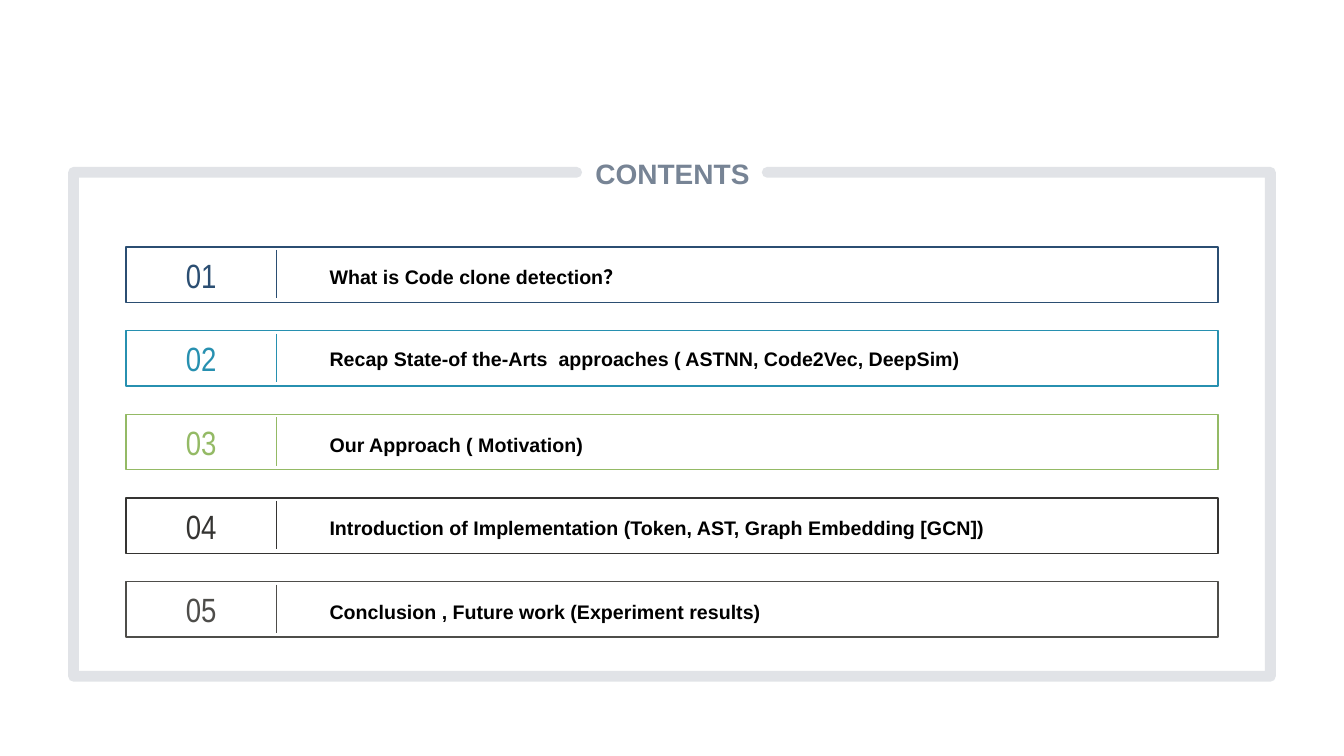
from lxml import etree
from pptx import Presentation
from pptx.dml.color import RGBColor
from pptx.enum.shapes import MSO_CONNECTOR, MSO_SHAPE
from pptx.enum.text import MSO_ANCHOR, MSO_AUTO_SIZE, PP_ALIGN
from pptx.oxml.ns import qn
from pptx.util import Inches, Pt

RECTANGLE = MSO_SHAPE.RECTANGLE
STRAIGHT = MSO_CONNECTOR.STRAIGHT
MIDDLE = MSO_ANCHOR.MIDDLE
NO_AUTOFIT = MSO_AUTO_SIZE.NONE
CENTER, LEFT = PP_ALIGN.CENTER, PP_ALIGN.LEFT

SLATE = "778495"
TOPICS = [
    ("What is Code clone detection？", "2B4E72", 1.2),
    ("Recap State-of the-Arts  approaches ( ASTNN, Code2Vec, DeepSim)", "2790B0", 1.0),
    ("Our Approach ( Motivation)", "94BA65", 1.2),
    ("Introduction of Implementation (Token, AST, Graph Embedding [GCN])", "353432", 1.2),
    ("Conclusion , Future work (Experiment results)", "4E4D4A", 1.2),
]
ROW_LEFT, ROW_TOP, ROW_WIDTH, ROW_HEIGHT, ROW_PITCH = 1.25, 2.45, 10.83, 0.55, 0.83
NUMBER_WIDTH = 1.49
TOPIC_LEFT = 3.17


def rgb(hex_color):
    return RGBColor.from_string(hex_color)


def write(box, text, size, font, color, bold, align, spacing=1.0):
    frame = box.text_frame
    frame.word_wrap = True
    frame.auto_size = NO_AUTOFIT
    frame.vertical_anchor = MIDDLE
    paragraph = frame.paragraphs[0]
    paragraph.alignment = align
    paragraph.line_spacing = spacing
    run = paragraph.add_run()
    run.text = text
    run.font.size = Pt(size)
    run.font.name = font
    run.font.bold = bold
    run.font.color.rgb = rgb(color)


prs = Presentation()
prs.slide_width, prs.slide_height = Inches(13.33), Inches(7.5)
slide = prs.slides.add_slide(prs.slide_layouts[5])
shapes = slide.shapes

heading = shapes.title
heading.left, heading.top = Inches(5.81), Inches(1.38)
heading.width, heading.height = Inches(1.72), Inches(0.67)
heading_frame = heading.text_frame
heading_frame.margin_left = heading_frame.margin_right = 0
heading_frame.margin_top = heading_frame.margin_bottom = 0
write(heading, "CONTENTS", 20, "Arial", SLATE, True, CENTER)

corners = [(12.6, 1.71), (12.6, 6.71), (0.73, 6.71), (0.73, 1.71), (5.72, 1.71)]
outline = shapes.build_freeform(Inches(7.61), Inches(1.71))
outline.add_line_segments([(Inches(x), Inches(y)) for x, y in corners], close=False)
border = outline.convert_to_shape()
border.shadow.inherit = False
border.fill.background()
border.line.color.rgb = rgb(SLATE)
border.line.width = Pt(7.75)
stroke = border.line._get_or_add_ln()
stroke.set("cap", "rnd")
etree.SubElement(stroke.find(".//" + qn("a:srgbClr")), qn("a:alpha"), val="21000")
etree.SubElement(stroke, qn("a:round"))

for index, (topic, color, spacing) in enumerate(TOPICS):
    top = ROW_TOP + index * ROW_PITCH

    row = shapes.add_shape(
        RECTANGLE, Inches(ROW_LEFT), Inches(top), Inches(ROW_WIDTH), Inches(ROW_HEIGHT)
    )
    row.shadow.inherit = False
    row.fill.background()
    row.line.color.rgb = rgb(color)
    row.line.width = Pt(1)

    number = shapes.add_textbox(
        Inches(ROW_LEFT), Inches(top), Inches(NUMBER_WIDTH), Inches(ROW_HEIGHT)
    )
    write(number, f"{index + 1:02}", 24, "Arial Narrow", color, False, CENTER)

    divider_x = Inches(ROW_LEFT + NUMBER_WIDTH)
    divider = shapes.add_connector(
        STRAIGHT, divider_x, Inches(top + 0.03), divider_x, Inches(top + 0.51)
    )
    divider.line.color.rgb = rgb(color)
    divider.line.width = Pt(1)
    etree.SubElement(divider._element.spPr, qn("a:effectLst"))

    label = shapes.add_textbox(
        Inches(TOPIC_LEFT), Inches(top),
        Inches(ROW_LEFT + ROW_WIDTH - TOPIC_LEFT), Inches(ROW_HEIGHT),
    )
    write(label, topic, 14, "Arial", "000000", True, LEFT, spacing)

prs.save("out.pptx")
